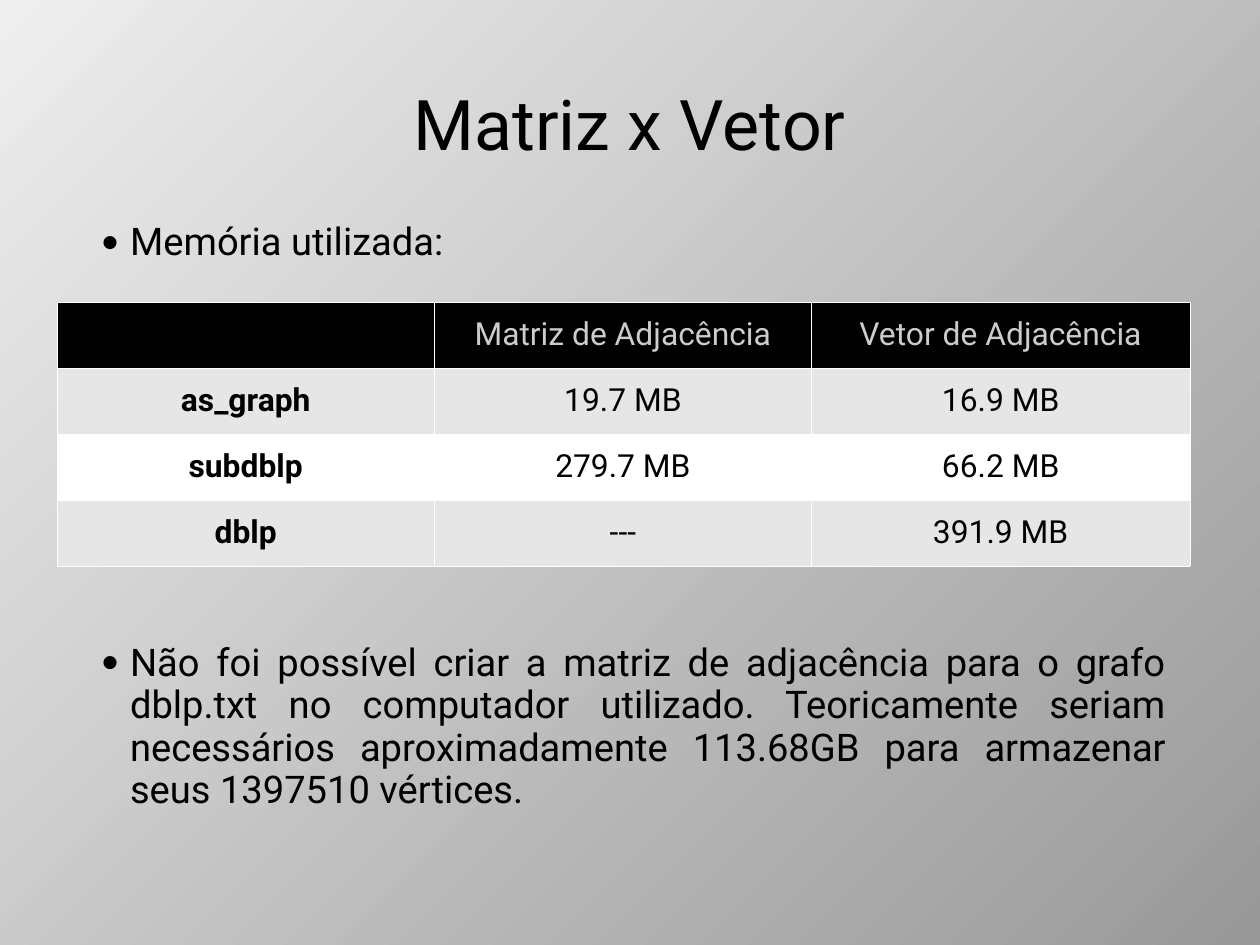
from dataclasses import dataclass, field

from lxml.etree import SubElement
from pptx import Presentation
from pptx.dml.color import RGBColor
from pptx.enum.text import MSO_ANCHOR, PP_ALIGN
from pptx.oxml.ns import qn
from pptx.slide import Slide
from pptx.table import _Cell
from pptx.text.text import _Paragraph
from pptx.util import Inches, Pt

CM_PER_INCH = 2.54
PAGE_SIZE = {
    "slide_width": Inches(28 / CM_PER_INCH),
    "slide_height": Inches(21 / CM_PER_INCH),
}
COLORS = {
    "light": "EEEEEE",
    "dark": "999999",
    "text": "000000",
    "header": "000000",
    "header_text": "CCCCCC",
    "band": "E6E6E6",
    "plain": "FFFFFF",
    "border": "FFFFFF",
}
FONT = "Roboto"
COLUMN_WIDTHS = (3.3, 3.3, 3.31)
MEMORY_ROWS = [
    ["", "Matriz de Adjacência", "Vetor de Adjacência"],
    ["as_graph", "19.7 MB", "16.9 MB"],
    ["subdblp", "279.7 MB", "66.2 MB"],
    ["dblp", "---", "391.9 MB"],
]


@dataclass
class TextBlock:
    text: str
    place: tuple[float, float, float, float]
    size: int = 24
    line_spacing: float = 0.93
    align: PP_ALIGN = PP_ALIGN.LEFT
    bullet: bool = True
    frame: dict = field(default_factory=dict)


BULLET_FRAME = {
    "word_wrap": True,
    "margin_left": Inches(0.1),
    "margin_right": Inches(0.1),
    "margin_top": Inches(0.07),
    "margin_bottom": Inches(0.05),
}
TITLE_FRAME = {
    "word_wrap": True,
    "vertical_anchor": MSO_ANCHOR.MIDDLE,
    "margin_left": 0,
    "margin_right": 0,
    "margin_top": 0,
    "margin_bottom": 0,
}
TEXT_BLOCKS = [
    TextBlock("Matriz x Vetor", (0.55, 0.33, 9.92, 1.38), size=44, line_spacing=1.14,
              align=PP_ALIGN.CENTER, bullet=False, frame=TITLE_FRAME),
    TextBlock("Memória utilizada:", (0.8, 1.87, 3.18, 0.55),
              frame={**BULLET_FRAME, "word_wrap": False}),
    TextBlock("Não foi possível criar a matriz de adjacência para o grafo dblp.txt no "
              "computador utilizado. Teoricamente seriam necessários aproximadamente "
              "113.68GB para armazenar seus 1397510 vértices.",
              (0.8, 5.55, 9.5, 1.92), align=PP_ALIGN.JUSTIFY, frame=BULLET_FRAME),
]


def rgb(name: str) -> RGBColor:
    return RGBColor.from_string(COLORS[name])


def set_all(target: object, values: dict) -> None:
    for name, value in values.items():
        setattr(target, name, value)


def add_bullet(para: _Paragraph) -> None:
    properties = para._p.get_or_add_pPr()
    properties.set("marL", str(Inches(0.24)))
    properties.set("indent", str(-Inches(0.24)))
    color = SubElement(properties, qn("a:buClr"))
    SubElement(color, qn("a:srgbClr"), val=COLORS["text"])
    SubElement(properties, qn("a:buSzPct"), val="45000")
    SubElement(properties, qn("a:buFont"), typeface=FONT)
    SubElement(properties, qn("a:buChar"), char="●")


def write(para: _Paragraph, text: str, size: int, color: str, bold: bool = False) -> None:
    span = para.add_run()
    span.text = text
    set_all(span.font, {"name": FONT, "size": Pt(size), "bold": bold})
    span.font.color.rgb = rgb(color)


def add_text(page: Slide, block: TextBlock) -> None:
    box = page.shapes.add_textbox(*map(Inches, block.place))
    set_all(box.text_frame, block.frame)
    para = box.text_frame.paragraphs[0]
    set_all(para, {"alignment": block.align, "line_spacing": block.line_spacing})
    if block.bullet:
        add_bullet(para)
    write(para, block.text, block.size, "text")


def set_borders(cell: _Cell) -> None:
    properties = cell._tc.get_or_add_tcPr()
    for position, side in enumerate(("lnL", "lnR", "lnT", "lnB")):
        line = properties.makeelement(qn(f"a:{side}"), {"w": str(Pt(0.06))})
        fill = SubElement(line, qn("a:solidFill"))
        SubElement(fill, qn("a:srgbClr"), val=COLORS["border"])
        properties.insert(position, line)


def add_memory_table(page: Slide) -> None:
    table = page.shapes.add_table(len(MEMORY_ROWS), len(COLUMN_WIDTHS), Inches(0.5),
                                  Inches(2.64), Inches(9.91), Inches(2.31)).table
    for column, width in zip(table.columns, COLUMN_WIDTHS):
        column.width = Inches(width)
    for row, texts in enumerate(MEMORY_ROWS):
        is_header = row == 0
        background = "header" if is_header else "band" if row % 2 else "plain"
        for column, text in enumerate(texts):
            cell = table.cell(row, column)
            cell.vertical_anchor = MSO_ANCHOR.MIDDLE
            cell.fill.solid()
            cell.fill.fore_color.rgb = rgb(background)
            set_borders(cell)
            if text:
                para = cell.text_frame.paragraphs[0]
                set_all(para, {"alignment": PP_ALIGN.CENTER, "line_spacing": 0.93})
                write(para, text, 20, "header_text" if is_header else "text",
                      bold=column == 0)


def paint_background(page: Slide) -> None:
    fill = page.background.fill
    fill.gradient()
    fill.gradient_angle = 315
    for stop, name in zip(fill.gradient_stops, ("light", "dark")):
        stop.color.rgb = rgb(name)


def main() -> None:
    deck = Presentation()
    set_all(deck, PAGE_SIZE)
    page = deck.slides.add_slide(deck.slide_layouts[6])
    paint_background(page)
    title, *bullets = TEXT_BLOCKS
    add_text(page, title)
    add_memory_table(page)
    for block in bullets:
        add_text(page, block)
    deck.save("out.pptx")


if __name__ == "__main__":
    main()
